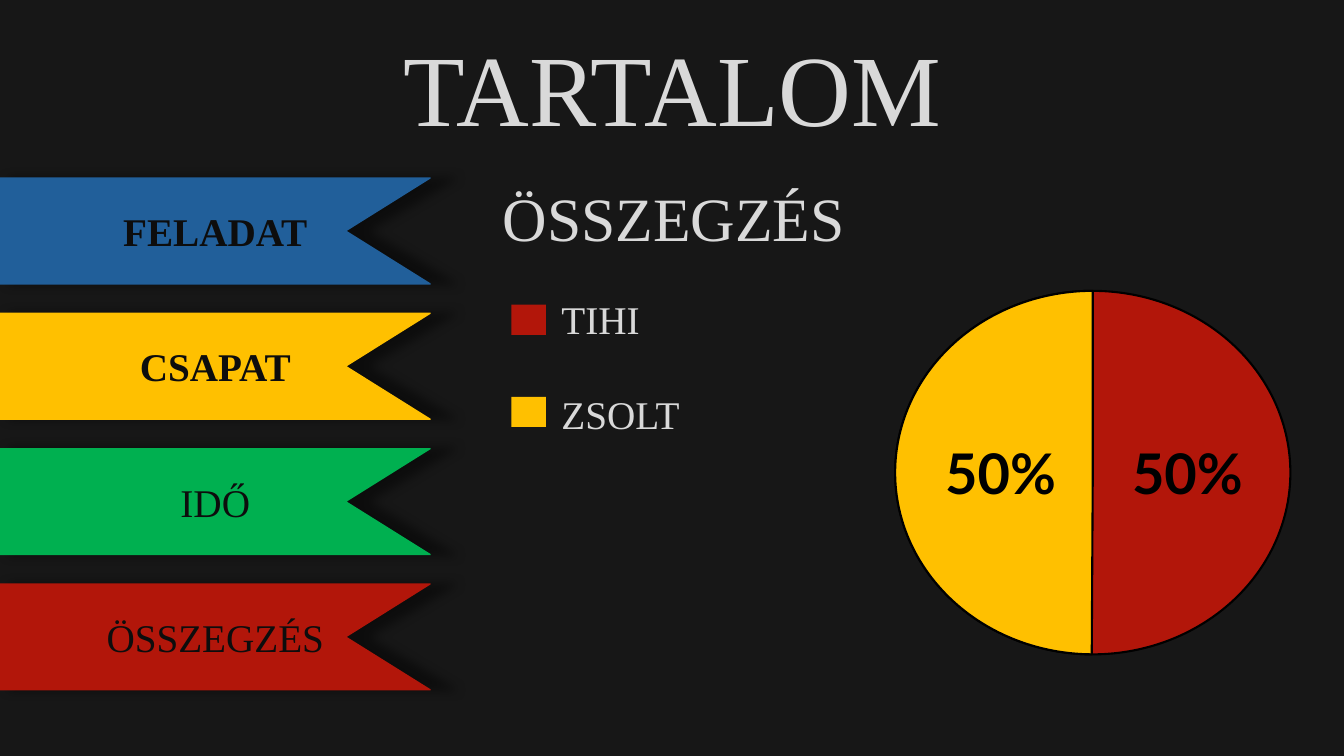
from lxml import etree
from pptx import Presentation
from pptx import util as u
from pptx.dml.color import RGBColor
from pptx.enum import shapes, text
from pptx.oxml import ns

SERIF = "Times New Roman"
DARK, LIGHT, BLACK = "0D0D0D", "D9D9D9", "000000"
RED, YELLOW = "B2160A", "FFC000"


def paint(fill, color):
    fill.solid()
    fill.fore_color.rgb = RGBColor.from_string(color)


def write(sp, lines, size, color, font=SERIF, bold=False, align=text.PP_ALIGN.LEFT):
    tf = sp.text_frame
    tf.word_wrap = True
    tf.text = "\n".join(lines)
    for p in tf.paragraphs:
        p.alignment = align
        for r in p.runs:
            r.font.name, r.font.size, r.font.bold = font, u.Pt(size), bold
            paint(r.font.fill, color)
    return tf


prs = Presentation()
prs.slide_width, prs.slide_height = u.Cm(33.87), u.Cm(19.05)
s = prs.slides.add_slide(prs.slide_layouts[5])
paint(s.background.fill, "171717")

title = s.shapes.title
title.left, title.top, title.width, title.height = u.Cm(8.74), u.Cm(0.51), u.Cm(16.4), u.Cm(3.32)
tf = write(title, ["TARTALOM"], 72, LIGHT, align=text.PP_ALIGN.CENTER)
tf.auto_size = text.MSO_AUTO_SIZE.SHAPE_TO_FIT_TEXT
tf.vertical_anchor = text.MSO_ANCHOR.TOP

ribbons = [
    ("FELADAT", "215F9A", True),
    ("CSAPAT", YELLOW, True),
    ("IDŐ", "00B050", False),
    ("ÖSSZEGZÉS", RED, False),
]
outline = [(10.85, 0), (10.85, 0.03), (8.74, 1.35), (10.85, 2.67), (10.85, 2.7), (0, 2.7)]
for i, (label, color, bold) in enumerate(ribbons):
    top = 4.47 + 3.41 * i
    builder = s.shapes.build_freeform(0, u.Cm(top))
    builder.add_line_segments([(u.Cm(x), u.Cm(top + y)) for x, y in outline])
    sp = builder.convert_to_shape()
    paint(sp.fill, color)
    sp.line.fill.background()
    sp.shadow.inherit = False
    effects = sp._element.spPr.find(ns.qn("a:effectLst"))
    shadow = etree.SubElement(effects, ns.qn("a:outerShdw"), blurRad=str(u.Pt(8)),
                              dist=str(u.Pt(6)), dir="0", sx="104000", algn="l", rotWithShape="0")
    shade = etree.SubElement(shadow, ns.qn("a:srgbClr"), val=BLACK)
    etree.SubElement(shade, ns.qn("a:alpha"), val="44000")
    tf = write(sp, [label], 28, DARK, bold=bold, align=text.PP_ALIGN.CENTER)
    tf.vertical_anchor = text.MSO_ANCHOR.MIDDLE

heading = s.shapes.add_textbox(u.Cm(12.42), u.Cm(4.42), u.Cm(17.7), u.Cm(2.13))
write(heading, ["ÖSSZEGZÉS"], 44, LIGHT)

share = s.shapes.add_group_shape()
for kind, color in [(shapes.MSO_SHAPE.OVAL, RED), (shapes.MSO_SHAPE.PIE, YELLOW)]:
    sp = share.shapes.add_shape(kind, u.Cm(22.56), u.Cm(7.33), u.Cm(9.96), u.Cm(9.16))
    paint(sp.fill, color)
    paint(sp.line.fill, BLACK)
    sp.line.width = u.Pt(1.5)
    sp.shadow.inherit = False
sp.adjustments[0], sp.adjustments[1] = 54.19, 162

legend = share.shapes.add_textbox(u.Cm(13.11), u.Cm(7.32), u.Cm(8.69), u.Cm(3.84))
tf = write(legend, ["TIHI", "ZSOLT"], 28, LIGHT)
tf.margin_left = u.Cm(1.04)
tf.paragraphs[0].space_after = u.Pt(34)

for top, color in [(7.68, RED), (10, YELLOW)]:
    swatch = share.shapes.add_shape(shapes.MSO_SHAPE.RECTANGLE, u.Cm(12.89), u.Cm(top), u.Cm(0.87), u.Cm(0.76))
    paint(swatch.fill, color)
    swatch.line.fill.background()
    swatch.shadow.inherit = False

for left in (23.57, 28.28):
    percent = share.shapes.add_textbox(u.Cm(left), u.Cm(10.92), u.Cm(4.14), u.Cm(1.96))
    write(percent, ["50%"], 40, BLACK, font="Lato", bold=True)

prs.save("out.pptx")
